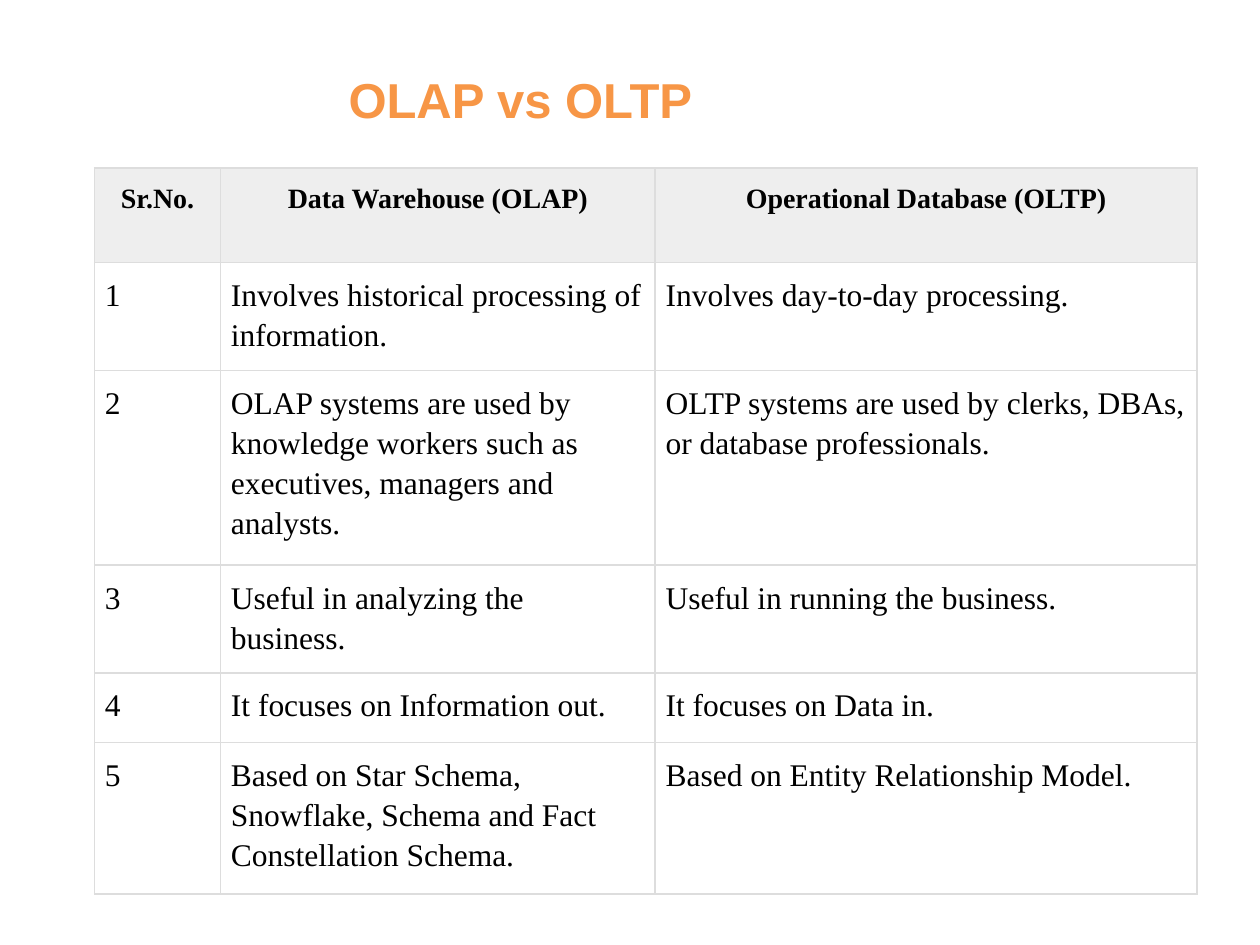
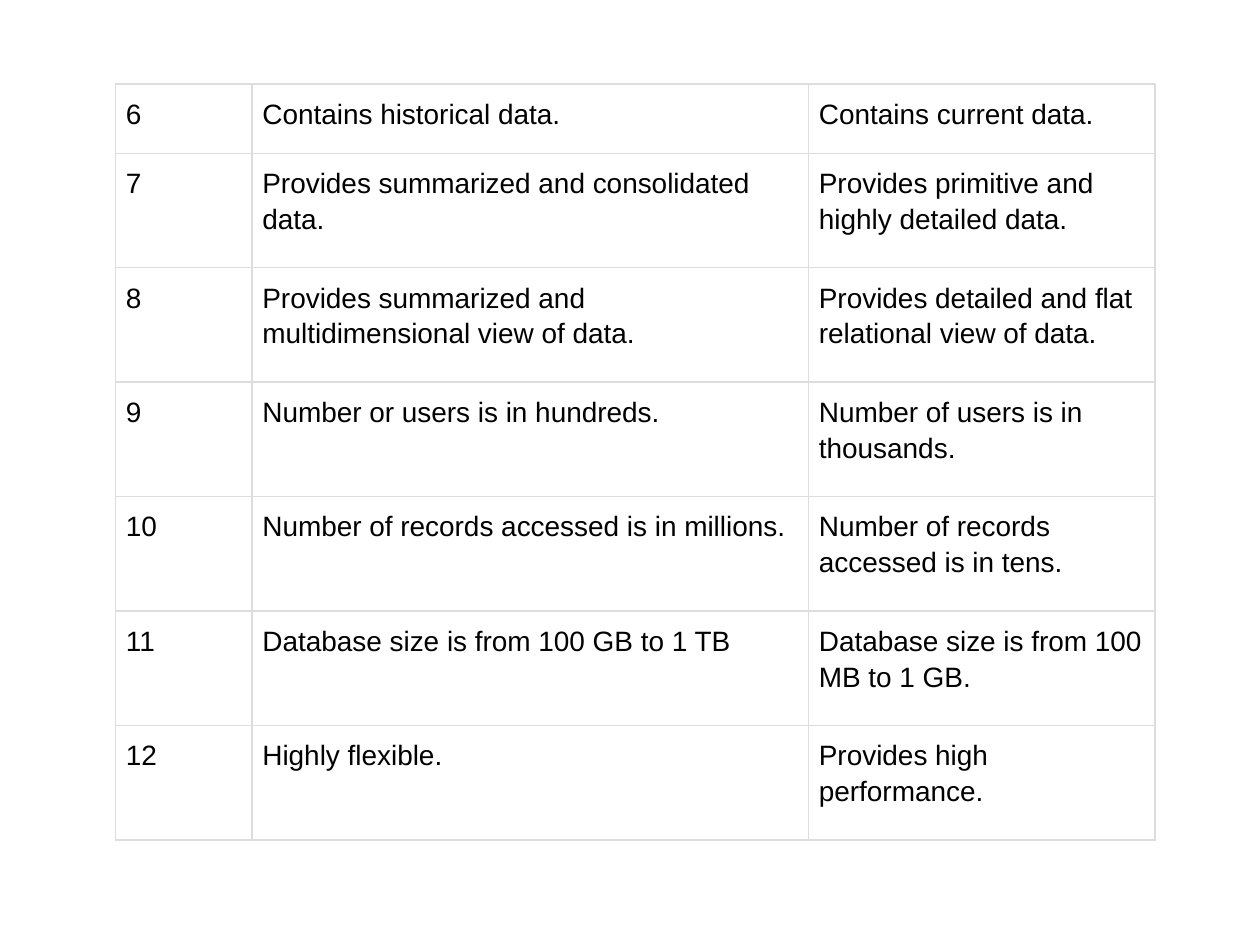
"""Build two slides that compare OLAP with OLTP in tables."""
from dataclasses import dataclass

from lxml import etree
from pptx import Presentation
from pptx import util as u
from pptx.dml.color import RGBColor
from pptx.enum import text
from pptx.oxml.ns import qn

TITLE_ONLY, BLANK = 5, 6


@dataclass(frozen=True)
class Theme:
    """Colours, fonts and sizes shared by the slides."""
    accent: str = "F79646"
    ink: str = "000000"
    border: str = "DDDDDD"
    header_fill: str = "EEEEEE"
    sans: str = "Arial"
    serif: str = "Times New Roman"
    title_size: float = 28
    large_size: float = 18
    normal_size: float = 16
    line_spacing: float = 1.15
    cell_margin: float = 6
    border_width: float = 1


THEME = Theme()

HEADER = ("Sr.No.", "Data Warehouse (OLAP)", "Operational Database (OLTP)")
USAGE_ROWS = [
    ("Involves historical processing of information.",
     "Involves day-to-day processing."),
    ("OLAP systems are used by knowledge workers such as executives, "
     "managers and analysts.",
     "OLTP systems are used by clerks, DBAs, or database professionals."),
    ("Useful in analyzing the business.", "Useful in running the business."),
    ("It focuses on Information out.", "It focuses on Data in."),
    ("Based on Star Schema, Snowflake, Schema and Fact Constellation Schema.",
     "Based on Entity Relationship Model."),
]
DATA_ROWS = [
    ("Contains historical data.", "Contains current data."),
    ("Provides summarized and consolidated data.",
     "Provides primitive and highly detailed data."),
    ("Provides summarized and multidimensional view of data.",
     "Provides detailed and flat relational view of data."),
    ("Number or users is in hundreds.", "Number of users is in thousands."),
    ("Number of records accessed is in millions.",
     "Number of records accessed is in tens."),
    ("Database size is from 100 GB to 1 TB",
     "Database size is from 100 MB to 1 GB."),
    ("Highly flexible.", "Provides high performance."),
]


def numbered(rows, start):
    """Put a serial number in front of each row."""
    return [(str(number), *row) for number, row in enumerate(rows, start)]


def format_runs(paragraph, font_name, size, color, bold=False):
    """Format every run of a paragraph."""
    for run in paragraph.runs:
        run.font.name = font_name
        run.font.size = u.Pt(size)
        run.font.bold = bold
        run.font.color.rgb = RGBColor.from_string(color)


def add_title(slide, title):
    """Place and format the title placeholder."""
    shape = slide.shapes.title
    shape.left, shape.top = u.Pt(192), u.Pt(36)
    shape.width, shape.height = u.Pt(354), u.Pt(41)
    frame = shape.text_frame
    frame.text = title
    frame.word_wrap = True
    frame.auto_size = text.MSO_AUTO_SIZE.SHAPE_TO_FIT_TEXT
    frame.vertical_anchor = text.MSO_ANCHOR.MIDDLE
    paragraph = frame.paragraphs[0]
    paragraph.alignment = text.PP_ALIGN.LEFT
    format_runs(paragraph, THEME.sans, THEME.title_size, THEME.accent, True)


def add_borders(cell):
    """Draw a thin line on all four sides of a cell."""
    properties = cell._tc.get_or_add_tcPr()
    for side in ("lnL", "lnR", "lnT", "lnB"):
        line = etree.SubElement(properties, qn(f"a:{side}"),
                                w=str(u.Pt(THEME.border_width)))
        fill = etree.SubElement(line, qn("a:solidFill"))
        etree.SubElement(fill, qn("a:srgbClr"), val=THEME.border)


def fill_cell(cell, content, font_name, size, is_header):
    """Write and format one table cell."""
    cell.text_frame.text = content
    cell.margin_left = cell.margin_right = u.Pt(THEME.cell_margin)
    cell.margin_top = cell.margin_bottom = u.Pt(THEME.cell_margin)
    add_borders(cell)
    paragraph = cell.text_frame.paragraphs[0]
    paragraph.line_spacing = THEME.line_spacing
    if is_header:
        cell.fill.solid()
        cell.fill.fore_color.rgb = RGBColor.from_string(THEME.header_fill)
        paragraph.alignment = text.PP_ALIGN.CENTER
    else:
        cell.fill.background()
        paragraph.alignment = text.PP_ALIGN.LEFT
    format_runs(paragraph, font_name, size, THEME.ink, is_header)


def add_comparison(slide, position, widths, heights, rows, font_name, size,
                   has_header=False):
    """Add a bordered table; lengths are in points."""
    left, top = position
    table = slide.shapes.add_table(
        len(rows), len(widths), u.Pt(left), u.Pt(top),
        u.Pt(sum(widths)), u.Pt(sum(heights))).table
    table.first_row = has_header
    table.horz_banding = False
    for column, width in zip(table.columns, widths):
        column.width = u.Pt(width)
    for index, (row, height) in enumerate(zip(table.rows, heights)):
        row.height = u.Pt(height)
        is_header = has_header and index == 0
        cell_size = THEME.normal_size if is_header else size
        for cell, content in zip(row.cells, rows[index]):
            fill_cell(cell, content, font_name, cell_size, is_header)


def main():
    """Build and save the presentation."""
    presentation = Presentation()
    presentation.slide_width, presentation.slide_height = u.Pt(720), u.Pt(540)
    layouts = presentation.slide_layouts

    slide = presentation.slides.add_slide(layouts[TITLE_ONLY])
    add_title(slide, "OLAP vs OLTP")
    add_comparison(slide, (54, 96), (72, 248.4, 309.6),
                   (54, 39.6, 60.5, 39.6, 39.6, 60.5),
                   [HEADER] + numbered(USAGE_ROWS, 1),
                   THEME.serif, THEME.large_size, has_header=True)

    slide = presentation.slides.add_slide(layouts[BLANK])
    add_comparison(slide, (66, 48), (78, 318, 198),
                   [39.6] + [65.4] * (len(DATA_ROWS) - 1),
                   numbered(DATA_ROWS, len(USAGE_ROWS) + 1),
                   THEME.sans, THEME.normal_size)

    presentation.save("out.pptx")


main()
